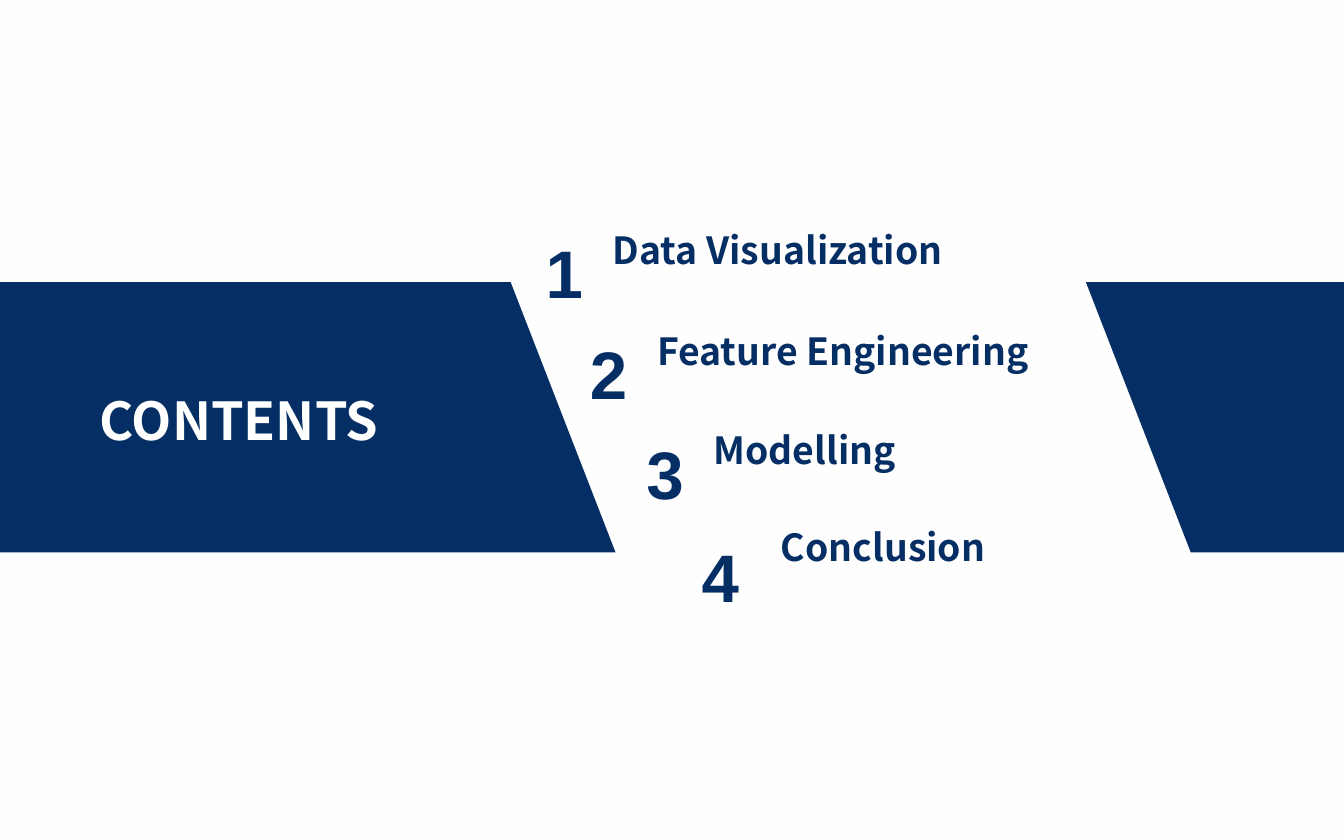
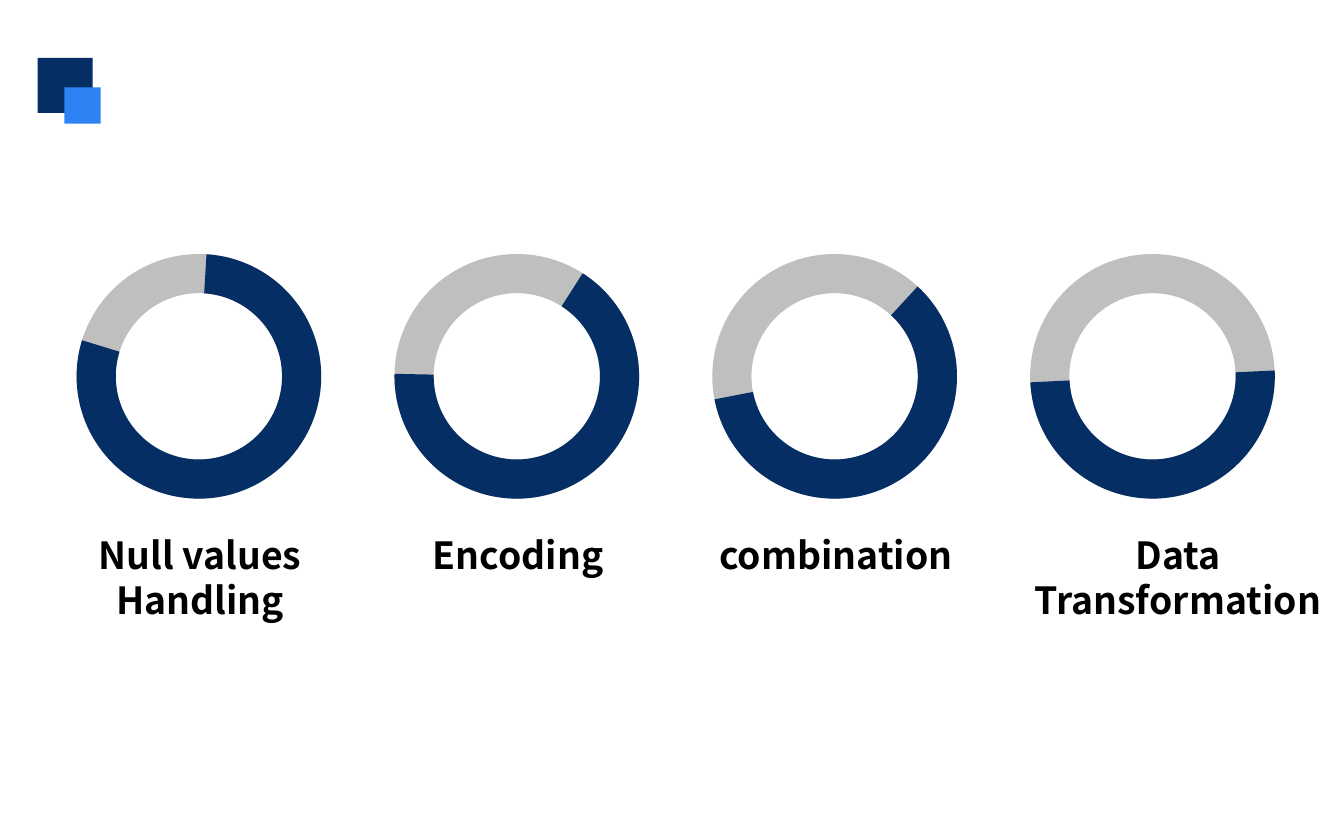
from typing import NamedTuple

from pptx import Presentation
from pptx.dml.color import RGBColor
from pptx.enum import shapes, text
from pptx.util import Inches, Pt

NAVY = RGBColor(0x05, 0x2E, 0x65)
BLUE = RGBColor(0x2D, 0x83, 0xF4)
GREY = RGBColor(0xBF, 0xBF, 0xBF)
OFF_WHITE = RGBColor(0xFE, 0xFE, 0xFE)
WHITE = RGBColor(0xFF, 0xFF, 0xFF)
BLACK = RGBColor(0, 0, 0)
HEADING_FONT = "Noto Sans CJK SC"
NUMBER_FONT = "Arial"

BAND_TOP, BAND_BOTTOM = 2.1, 4.11
RING_LEFT, RING_TOP, RING_SIZE, RING_PITCH = 0.57, 1.89, 1.82, 2.365
RING_THICKNESS = 0.16
ARC_END = 1.17
ADJUSTMENT_PER_DEGREE = 0.6  # 60000 angle units per degree, 100000 per adjustment


class Style(NamedTuple):
    size: int
    color: RGBColor
    font: str = HEADING_FONT
    inset_x: float = 0.08
    inset_top: float = 0.06
    align: text.PP_ALIGN = text.PP_ALIGN.LEFT
    anchor: text.MSO_ANCHOR = text.MSO_ANCHOR.TOP
    line_height: int | None = None


class Chapter(NamedTuple):
    title: str
    number_left: float
    number_top: float
    title_left: float
    title_top: float


class Step(NamedTuple):
    label: str
    arc_start: float
    rotation: float
    label_width: float = 2.14


TITLE = Style(28, WHITE, inset_x=0, inset_top=0,
              align=text.PP_ALIGN.CENTER, anchor=text.MSO_ANCHOR.MIDDLE)
NUMBER = Style(36, NAVY, NUMBER_FONT, inset_top=0.09)
CHAPTER = Style(20, NAVY)
STEP = Style(20, BLACK, inset_x=0.11, inset_top=0.08,
             align=text.PP_ALIGN.CENTER, line_height=24)

CHAPTERS = [
    Chapter("Data Visualization", 3.98, 1.63, 4.48, 1.63),
    Chapter("Feature Engineering", 4.31, 2.38, 4.81, 2.38),
    Chapter("Modelling", 4.73, 3.13, 5.23, 3.12),
    Chapter("Conclusion", 5.14, 3.89, 5.73, 3.84),
]
STEPS = [
    Step("Null values Handling", 77.59, 196),
    Step("Encoding", 122.6, 180),
    Step("combination", 144.71, 168),
    Step("Data Transformation", 181.25, 176, 2.5),
]


def add_slide(prs, background: RGBColor):
    slide = prs.slides.add_slide(prs.slide_layouts[6])
    slide.background.fill.solid()
    slide.background.fill.fore_color.rgb = background
    return slide


def paint(shape, color: RGBColor) -> None:
    shape.fill.solid()
    shape.fill.fore_color.rgb = color
    shape.line.fill.background()
    shape.shadow.inherit = False


def add_preset(container, kind, left: float, top: float, size: float, color: RGBColor):
    """Add a plain square-sided preset shape."""
    shape = container.add_shape(kind, Inches(left), Inches(top), Inches(size), Inches(size))
    paint(shape, color)
    return shape


def add_text(slide, words: str, left: float, top: float,
             width: float, height: float, style: Style) -> None:
    box = slide.shapes.add_textbox(Inches(left), Inches(top), Inches(width), Inches(height))
    frame = box.text_frame
    frame.word_wrap = True
    frame.vertical_anchor = style.anchor
    frame.margin_left = frame.margin_right = Inches(style.inset_x)
    frame.margin_top = Inches(style.inset_top)
    frame.margin_bottom = 0
    paragraph = frame.paragraphs[0]
    paragraph.alignment = style.align
    if style.line_height:
        paragraph.line_spacing = Pt(style.line_height)
    run = paragraph.add_run()
    run.text = words
    run.font.name = style.font
    run.font.size = Pt(style.size)
    run.font.bold = True
    run.font.color.rgb = style.color


def add_band(slide, top_left: float, top_right: float,
             bottom_right: float, bottom_left: float) -> None:
    """Add a band piece from the x positions of its four corners."""
    builder = slide.shapes.build_freeform(Inches(top_left), Inches(BAND_TOP))
    builder.add_line_segments([
        (Inches(top_right), Inches(BAND_TOP)),
        (Inches(bottom_right), Inches(BAND_BOTTOM)),
        (Inches(bottom_left), Inches(BAND_BOTTOM)),
    ], close=True)
    paint(builder.convert_to_shape(), NAVY)


def add_ring(slide, left: float, step: Step) -> None:
    ring = slide.shapes.add_group_shape().shapes
    track = add_preset(ring, shapes.MSO_SHAPE.DONUT, left, RING_TOP, RING_SIZE, GREY)
    track.adjustments[0] = RING_THICKNESS
    arc = add_preset(ring, shapes.MSO_SHAPE.BLOCK_ARC, left, RING_TOP, RING_SIZE, NAVY)
    arc.adjustments[0] = step.arc_start * ADJUSTMENT_PER_DEGREE
    arc.adjustments[1] = ARC_END * ADJUSTMENT_PER_DEGREE
    arc.adjustments[2] = RING_THICKNESS
    arc.rotation = step.rotation


def build_contents(prs) -> None:
    slide = add_slide(prs, OFF_WHITE)
    add_band(slide, 8.08, 10, 10, 8.86)
    add_band(slide, 0, 3.8, 4.58, 0)
    add_text(slide, "CONTENTS", 0.56, 2.9, 2.44, 0.45, TITLE)
    for number, chapter in enumerate(CHAPTERS, start=1):
        add_text(slide, str(number), chapter.number_left, chapter.number_top,
                 0.45, 0.5, NUMBER)
        add_text(slide, chapter.title, chapter.title_left, chapter.title_top,
                 3.25, 0.47, CHAPTER)


def build_feature_engineering(prs) -> None:
    slide = add_slide(prs, WHITE)
    add_preset(slide.shapes, shapes.MSO_SHAPE.RECTANGLE, 0.28, 0.43, 0.41, NAVY)
    add_preset(slide.shapes, shapes.MSO_SHAPE.RECTANGLE, 0.48, 0.65, 0.27, BLUE)
    for column, step in enumerate(STEPS):
        left = RING_LEFT + column * RING_PITCH
        add_ring(slide, left, step)
        add_text(slide, step.label, left - 0.15, 3.88, step.label_width, 1.23, STEP)


def main() -> None:
    prs = Presentation()
    prs.slide_width, prs.slide_height = Inches(10), Inches(6.25)
    build_contents(prs)
    build_feature_engineering(prs)
    prs.save("out.pptx")


if __name__ == "__main__":
    main()
